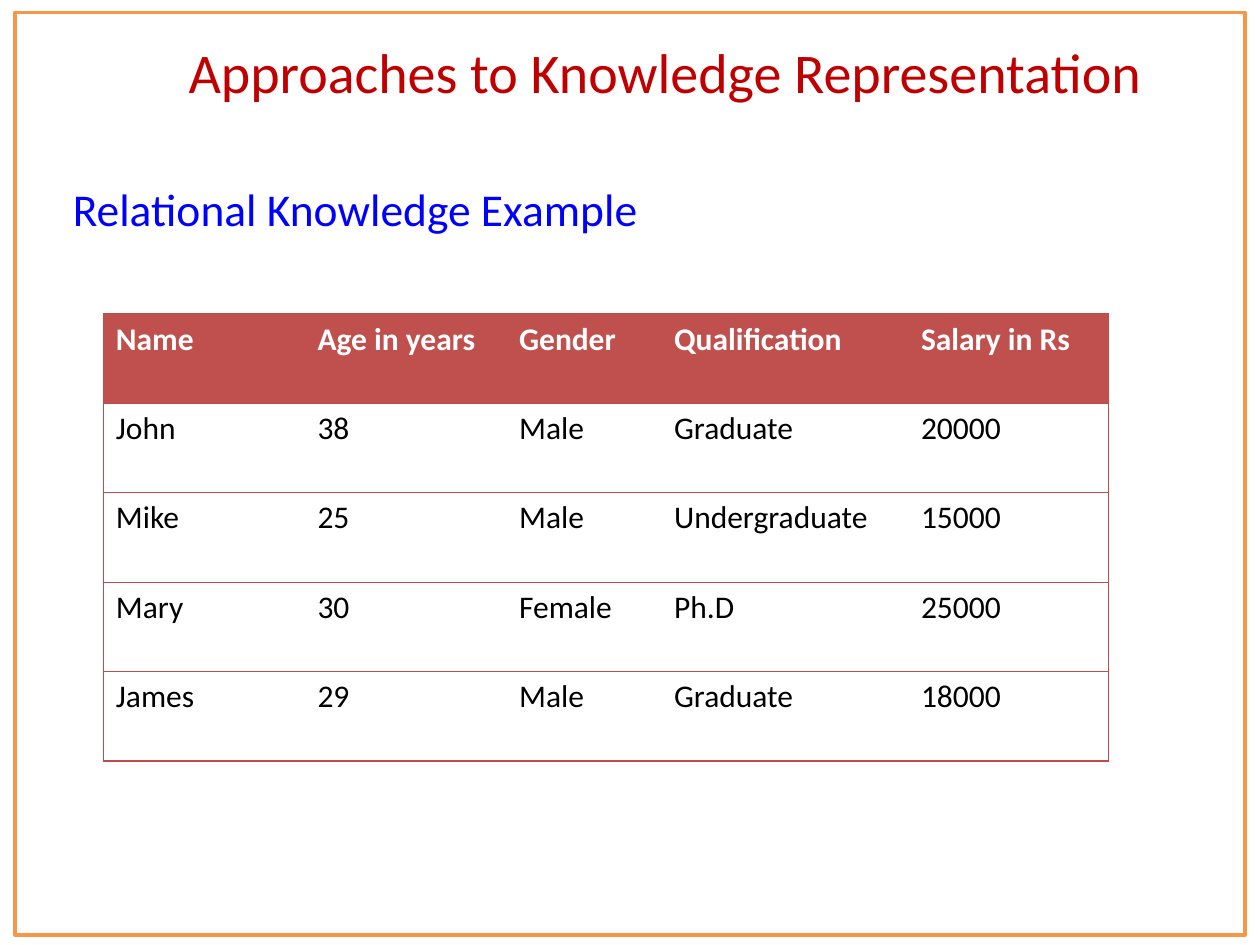
from lxml import etree
from pptx import Presentation
from pptx import util as u
from pptx.dml.color import RGBColor
from pptx.enum import shapes, text
from pptx.oxml import ns

SLIDE_WIDTH, SLIDE_HEIGHT = 10, 7.5
FONT = "Calibri"
TITLE_RED = RGBColor(0xC0, 0x00, 0x00)
HEADING_BLUE = RGBColor(0x00, 0x00, 0xFF)
FRAME_ORANGE = RGBColor(0xF7, 0x96, 0x46)
HEADER_RED = RGBColor(0xC0, 0x50, 0x4D)
BORDER_RED = RGBColor(0xBF, 0x4C, 0x48)
WHITE = RGBColor(0xFF, 0xFF, 0xFF)
BLACK = RGBColor(0x00, 0x00, 0x00)

COLUMN_WIDTHS = [1.6, 1.6, 1.23, 1.96, 1.59]
ROW_HEIGHT = 0.71
PEOPLE = [
    ["Name", "Age in years", "Gender", "Qualification", "Salary in Rs"],
    ["John", "38", "Male", "Graduate", "20000"],
    ["Mike", "25", "Male", "Undergraduate", "15000"],
    ["Mary", "30", "Female", "Ph.D", "25000"],
    ["James", "29", "Male", "Graduate", "18000"],
]


def inches(*lengths):
    return [u.Inches(length) for length in lengths]


def write(frame, words, size=18, color=BLACK, bold=False,
          align=text.PP_ALIGN.LEFT):
    paragraph = frame.paragraphs[0]
    paragraph.alignment = align
    run = paragraph.add_run()
    run.text = words
    run.font.name = FONT
    run.font.size = u.Pt(size)
    run.font.bold = bold
    run.font.color.rgb = color


def add_text(slide, box, words, anchor=text.MSO_ANCHOR.TOP, **style):
    frame = slide.shapes.add_textbox(*inches(*box)).text_frame
    frame.word_wrap = True
    frame.vertical_anchor = anchor
    write(frame, words, **style)


def add_frame(slide):
    frame = slide.shapes.add_shape(
        shapes.MSO_SHAPE.RECTANGLE, *inches(0.12, 0.1, 9.76, 7.32))
    frame.shadow.inherit = False
    frame.fill.background()
    frame.line.color.rgb = FRAME_ORANGE
    frame.line.width = u.Pt(2)


def set_borders(cell, visible):
    """Draw the sides named in visible (of L, R, T, B) and hide the others."""
    properties = cell._tc.get_or_add_tcPr()
    for side in "LRTB":
        line = etree.SubElement(properties, ns.qn(f"a:ln{side}"),
                                w=str(u.Pt(0.75)))
        if side in visible:
            fill = etree.SubElement(line, ns.qn("a:solidFill"))
            etree.SubElement(fill, ns.qn("a:srgbClr"), val=str(BORDER_RED))
        else:
            etree.SubElement(line, ns.qn("a:noFill"))


def add_people_table(slide):
    table = slide.shapes.add_table(
        len(PEOPLE), len(COLUMN_WIDTHS),
        *inches(0.82, 2.49, sum(COLUMN_WIDTHS), ROW_HEIGHT * len(PEOPLE))).table
    table.horz_banding = False
    for column, width in zip(table.columns, COLUMN_WIDTHS):
        column.width = u.Inches(width)
    last_column = len(COLUMN_WIDTHS) - 1
    for row_index, values in enumerate(PEOPLE):
        table.rows[row_index].height = u.Inches(ROW_HEIGHT)
        is_header = row_index == 0
        for column_index, value in enumerate(values):
            cell = table.cell(row_index, column_index)
            outer_sides = {0: "L", last_column: "R"}.get(column_index, "")
            set_borders(cell, "TB" + outer_sides)
            if is_header:
                cell.fill.solid()
                cell.fill.fore_color.rgb = HEADER_RED
            else:
                cell.fill.background()
            write(cell.text_frame, value, bold=is_header,
                  color=WHITE if is_header else BLACK)


def main():
    presentation = Presentation()
    presentation.slide_width, presentation.slide_height = inches(
        SLIDE_WIDTH, SLIDE_HEIGHT)
    slide = presentation.slides.add_slide(presentation.slide_layouts[6])
    add_frame(slide)
    add_text(slide, (0.48, 1.39, 9.17, 0.79), "Relational Knowledge Example",
             size=26, color=HEADING_BLUE, align=text.PP_ALIGN.JUSTIFY)
    add_text(slide, (0.78, 0.22, 9, 0.69),
             "Approaches to Knowledge Representation",
             anchor=text.MSO_ANCHOR.MIDDLE, size=32, color=TITLE_RED,
             align=text.PP_ALIGN.CENTER)
    add_people_table(slide)
    presentation.save("out.pptx")


if __name__ == "__main__":
    main()
